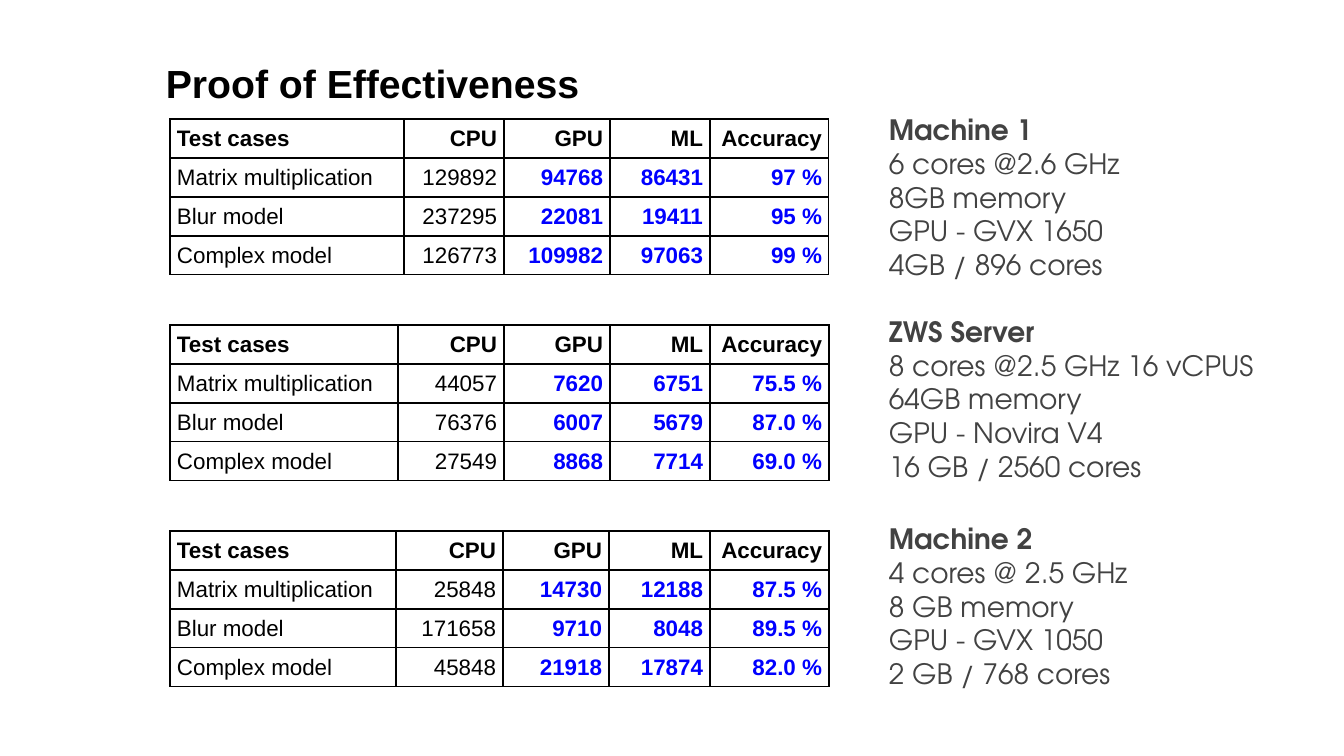
from lxml import etree
from pptx import Presentation
from pptx.dml.color import RGBColor
from pptx.enum.text import MSO_ANCHOR, PP_ALIGN
from pptx.oxml.ns import qn
from pptx.util import Pt

MIDDLE = MSO_ANCHOR.MIDDLE
LEFT, RIGHT = PP_ALIGN.LEFT, PP_ALIGN.RIGHT
PX = 914400 / 100.8


def px(n):
    return round(n * PX)


def style(para, face, size, color, bold):
    font = para.runs[0].font
    font.name = face
    font.size = Pt(size)
    font.color.rgb = RGBColor.from_string(color)
    font.bold = bold


deck = Presentation()
deck.slide_width, deck.slide_height = px(1344), px(756)
slide = deck.slides.add_slide(deck.slide_layouts[6])

head = ["Test cases", "CPU", "GPU", "ML", "Accuracy"]
cases = ["Matrix multiplication", "Blur model", "Complex model"]
tests = [
    ([234, 100, 106, 100, 119], [
        ["129892", "94768", "86431", "97 %"],
        ["237295", "22081", "19411", "95 %"],
        ["126773", "109982", "97063", "99 %"]]),
    ([228, 106, 106, 100, 119], [
        ["44057", "7620", "6751", "75.5 %"],
        ["76376", "6007", "5679", "87.0 %"],
        ["27549", "8868", "7714", "69.0 %"]]),
    ([226, 107, 106, 101, 119], [
        ["25848", "14730", "12188", "87.5 %"],
        ["171658", "9710", "8048", "89.5 %"],
        ["45848", "21918", "17874", "82.0 %"]]),
]

for i, (widths, scores) in enumerate(tests):
    rows = [head] + [[case] + score for case, score in zip(cases, scores)]
    frame = slide.shapes.add_table(
        len(rows), len(head), px(170), px(119 + 206 * i), px(sum(widths)), px(39 * len(rows)))
    table = frame.table
    table.first_row = table.horz_banding = False
    for col, width in zip(table.columns, widths):
        col.width = px(width)
    for r, row in enumerate(rows):
        for c, text in enumerate(row):
            cell = table.cell(r, c)
            cell.margin_left = cell.margin_right = px(7)
            cell.margin_top = cell.margin_bottom = px(7)
            cell.vertical_anchor = MIDDLE
            props = cell._tc.get_or_add_tcPr()
            for side in ("lnL", "lnR", "lnT", "lnB"):
                line = etree.SubElement(props, qn("a:" + side), w=str(Pt(1)))
                fill = etree.SubElement(line, qn("a:solidFill"))
                etree.SubElement(fill, qn("a:srgbClr"), val="000000")
            cell.fill.background()
            cell.text_frame.text = text
            para = cell.text_frame.paragraphs[0]
            para.alignment = RIGHT if c else LEFT
            blue = r > 0 and c > 1
            style(para, "Arial", 16, "0000FF" if blue else "000000", r == 0 or blue)

hosts = [
    (0, ["Machine 1", "6 cores @2.6 GHz", "8GB memory", "GPU - GVX 1650", "4GB / 896 cores"]),
    (24, ["ZWS Server", "8 cores @2.5 GHz 16 vCPUS", "64GB memory", "GPU - Novira V4",
          "16 GB / 2560 cores"]),
    (28, ["Machine 2", "4 cores @ 2.5 GHz", "8 GB memory", "GPU - GVX 1050", "2 GB / 768 cores"]),
]
box = slide.shapes.add_textbox(px(829), px(108), px(508), px(648)).text_frame
box.word_wrap = True
box.text = "\n".join(line for gap, lines in hosts for line in lines)
paras = iter(box.paragraphs)
for gap, lines in hosts:
    for k in range(len(lines)):
        para = next(paras)
        para.space_before = Pt(0 if k else gap)
        props = para._p.get_or_add_pPr()
        props.set("marL", "0")
        props.set("indent", str(px(50)))
        style(para, "TeX Gyre Adventor", 20, "424242", k == 0)

title = slide.shapes.add_textbox(px(156), px(31), px(672), px(73)).text_frame
title.word_wrap = True
title.text = "Proof of Effectiveness"
title.paragraphs[0].line_spacing = 1.5
style(title.paragraphs[0], "Arial", 28, "000000", True)

deck.save("out.pptx")
